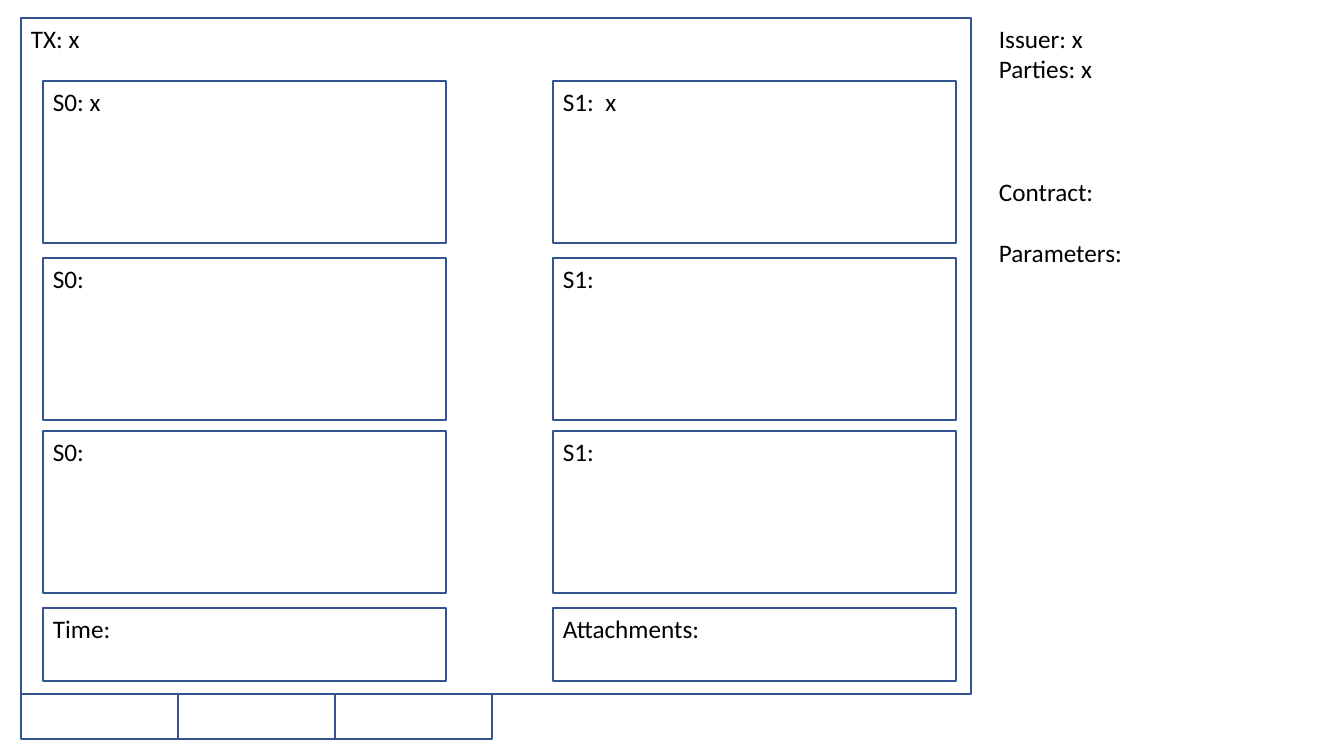
import pptx
import pptx.util
import pptx.dml.color
import pptx.enum.shapes
import pptx.enum.text

PIXEL = 12192000 / 1344
COLORS = {"outline": "325491", "box": "FFFFFF", "text": "000000"}


def write(shape, text, font="Calibri", size=18, color="text", gaps=()):
    """Write lines of text at the top left; gaps are points before each line."""
    frame = shape.text_frame
    frame.word_wrap = True
    frame.vertical_anchor = pptx.enum.text.MSO_ANCHOR.TOP
    frame.text = text
    for index, paragraph in enumerate(frame.paragraphs):
        paragraph.alignment = pptx.enum.text.PP_ALIGN.LEFT
        paragraph.space_before = pptx.util.Pt(gaps[index] if gaps else 0)
        paragraph.font.name = font
        paragraph.font.size = pptx.util.Pt(size)
        paragraph.font.color.rgb = pptx.dml.color.RGBColor.from_string(COLORS[color])


def add_box(left, top, width, height, text="", fill=None):
    """Add an outlined rectangle, placed in pixels, with an optional label."""
    shape = slide.shapes.add_shape(
        pptx.enum.shapes.MSO_SHAPE.RECTANGLE,
        *(round(length * PIXEL) for length in (left, top, width, height)))
    shape.shadow.inherit = False
    if fill:
        shape.fill.solid()
        shape.fill.fore_color.rgb = pptx.dml.color.RGBColor.from_string(COLORS[fill])
    else:
        shape.fill.background()
    shape.line.color.rgb = pptx.dml.color.RGBColor.from_string(COLORS["outline"])
    shape.line.width = pptx.util.Pt(1)
    if text:
        write(shape, text)


presentation = pptx.Presentation()
presentation.slide_width = round(1344 * PIXEL)
presentation.slide_height = round(756 * PIXEL)
slide = presentation.slides.add_slide(presentation.slide_layouts[6])

# Tabs below the transaction frame
for tab in range(3):
    add_box(21 + tab * 157, 694, 157, 45)

# Transaction frame
add_box(21, 18, 950, 676, "TX: x")

# Input and output states, then time and attachments
rows = [
    (81, 162, "S0: x", "S1:  x", "box"),
    (258, 162, "S0:", "S1:", "box"),
    (431, 162, "S0:", "S1:", "box"),
    (608, 73, "Time:", "Attachments:", None),
]
for top, height, left_label, right_label, fill in rows:
    for left, label in ((43, left_label), (553, right_label)):
        add_box(left, top, 403, height, label, fill)

# Contract details
details = slide.shapes.add_textbox(
    *(round(length * PIXEL) for length in (989, 18, 335, 254)))
write(details, "Issuer: x\nParties: x\nContract:\nParameters:", gaps=(0, 0, 66, 22))

presentation.save("out.pptx")
